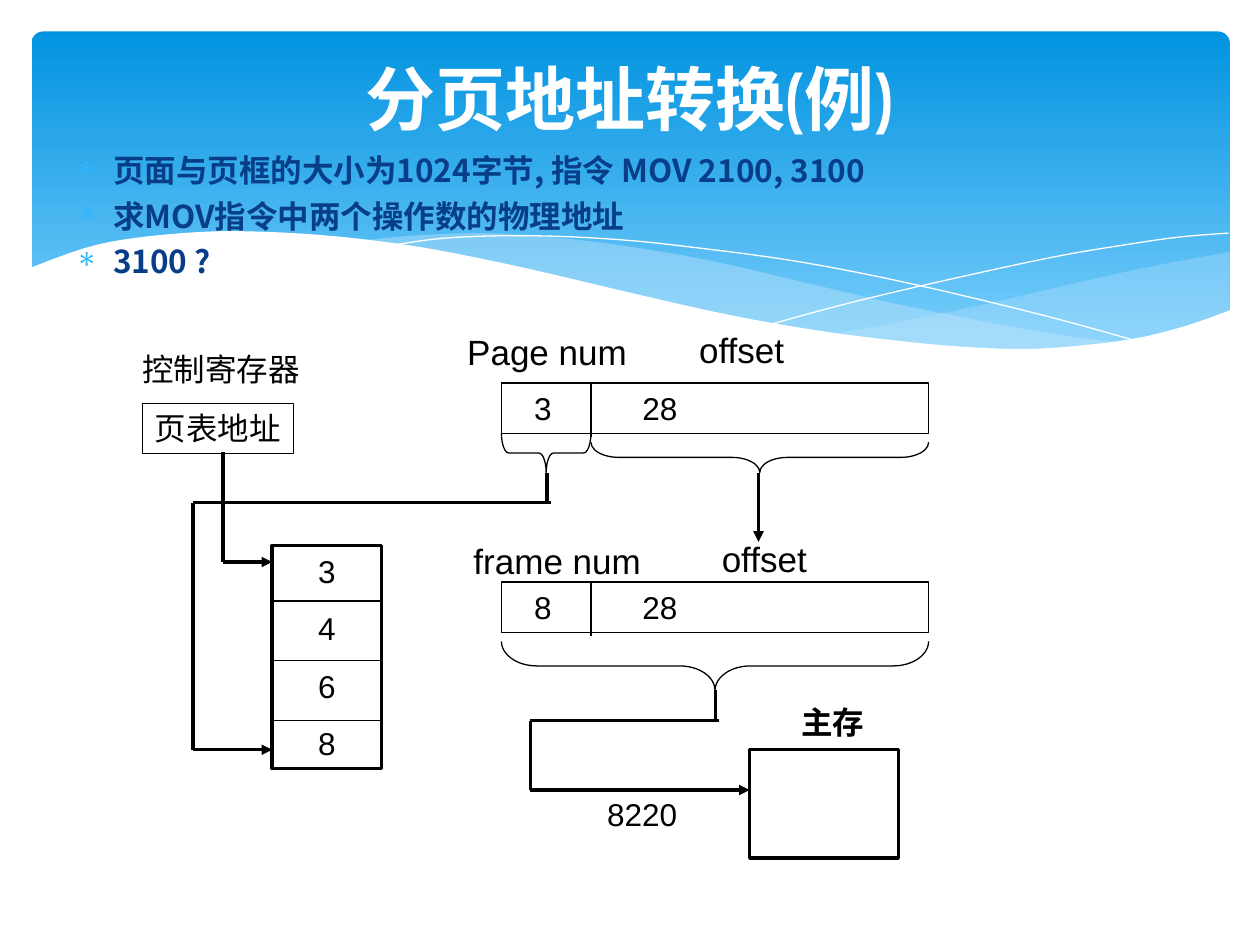
from dataclasses import dataclass
from itertools import pairwise
from typing import Optional

from lxml.etree import SubElement
from pptx import Presentation
from pptx.dml.color import RGBColor
from pptx.enum.shapes import MSO_CONNECTOR as Connector, MSO_SHAPE as Preset
from pptx.enum.text import MSO_ANCHOR as Anchor, MSO_AUTO_SIZE as AutoSize, PP_ALIGN as Align
from pptx.oxml.ns import qn
from pptx.util import Inches, Pt

WHITE = RGBColor(0xFF, 0xFF, 0xFF)
BLACK = RGBColor(0, 0, 0)
NAVY = RGBColor(0x07, 0x3E, 0x87)
SKY_TOP = RGBColor(0x02, 0x93, 0xE0)
SKY_BOTTOM = RGBColor(0x83, 0xD3, 0xFE)
PALE = RGBColor(0xC6, 0xE7, 0xFC)
BULLET = RGBColor(0x31, 0xB6, 0xFD)
CJK_FONT = "Noto Sans CJK JP"
THIN, THICK = 0.75, 2

Point = tuple[float, float]


@dataclass
class Wave:
    knots: list[Point]
    edge: list[Point]
    fill: Optional[RGBColor] = None
    opacity: int = 100


@dataclass
class Frame:
    left: float
    top: float
    width: float
    height: float
    weight: float = THIN
    preset: Preset = Preset.RECTANGLE


@dataclass
class Brace:
    left: float
    right: float
    top: float
    depth: float
    curl: float


@dataclass
class Route:
    points: list[Point]
    weight: float = THICK
    arrow: bool = False


@dataclass
class Label:
    text: str
    left: float
    top: float
    width: float
    size: int = 18
    bold: bool = False


WAVES = [
    Wave([(9.76, 2), (9.21, 2.1), (8.61, 2.23), (7.79, 2.42), (7.06, 2.57), (6.61, 2.65)],
         [(6.61, 2.65), (7.05, 2.71), (7.57, 2.76), (8.03, 2.78), (8.54, 2.76), (8.97, 2.7),
          (9.35, 2.62), (9.76, 2.47)], PALE, 29),
    Wave([(8.93, 2.73), (8.37, 2.65), (7.75, 2.54), (7.06, 2.4), (6.29, 2.22), (5.69, 2.08),
          (5.14, 1.98), (4.64, 1.91), (4.2, 1.87), (3.8, 1.85), (3.28, 1.87), (2.86, 1.91)],
         [(2.86, 1.91), (3.42, 1.99), (4.04, 2.11), (4.91, 2.32), (5.66, 2.48), (6.34, 2.61),
          (6.95, 2.7), (7.48, 2.76), (8.07, 2.79), (8.57, 2.77), (8.93, 2.73)], PALE, 40),
    Wave([(3.09, 1.95), (3.53, 1.89), (4.16, 1.87), (4.89, 1.9), (5.56, 1.97), (6.36, 2.08),
          (7.27, 2.26), (8.31, 2.51), (9.07, 2.72)], []),
    Wave([(6.13, 2.57), (6.72, 2.41), (7.48, 2.23), (8.36, 2.04), (8.95, 1.94), (9.37, 1.88),
          (9.75, 1.85)], []),
    Wave([(9.77, 2.46), (9.4, 2.59), (8.99, 2.69), (8.5, 2.75), (8.09, 2.77), (7.61, 2.75),
          (7.08, 2.7), (6.47, 2.62), (5.79, 2.5), (5.03, 2.33), (4.18, 2.13), (3.39, 1.97),
          (2.71, 1.88), (2.11, 1.84), (1.61, 1.84), (1.06, 1.89), (0.67, 1.97), (0.23, 2.13)],
         [(0.23, 3.29), (9.77, 3.29)], WHITE),
]

ADDRESS_LEFT, ADDRESS_SPLIT, ADDRESS_RIGHT = 3.98, 4.69, 7.37
ADDRESS_TOPS = (3.04, 4.62)
ADDRESS_WIDTH = ADDRESS_RIGHT - ADDRESS_LEFT
PAGE_TABLE = Frame(2.16, 4.33, 0.87, 1.77, THICK)
REGISTER = Frame(1.13, 3.2, 1.2, 0.4)
MEMORY = Frame(5.95, 5.95, 1.18, 0.86, THICK)

BRACES = [
    Brace(ADDRESS_LEFT, ADDRESS_SPLIT, 3.44, 0.31, 0.19),
    Brace(ADDRESS_SPLIT, ADDRESS_RIGHT, 3.51, 0.24, 0.92),
    Brace(ADDRESS_LEFT, ADDRESS_RIGHT, 5.09, 0.39, 0.72),
]

ROUTES = [
    *(Route([(2.16, y), (3.03, y)], THIN) for y in (4.77, 5.24, 5.72)),
    *(Route([(ADDRESS_SPLIT, y), (ADDRESS_SPLIT, y + 0.43)], THIN) for y in ADDRESS_TOPS),
    Route([(5.68, 5.48), (5.68, 5.72)]),
    Route([(5.71, 5.72), (4.21, 5.72), (4.21, 6.27), (5.95, 6.27)], arrow=True),
    Route([(4.34, 3.75), (4.34, 3.99)]),
    Route([(4.37, 3.99), (1.53, 3.99), (1.53, 5.95), (2.16, 5.95)], arrow=True),
    Route([(1.77, 3.59), (1.77, 4.46), (2.16, 4.46)], arrow=True),
    Route([(6.02, 3.75), (6.02, 4.3)], arrow=True),
]

LABELS = [
    Label("控制寄存器", 1.03, 2.73, 1.45),
    Label("主存", 6.26, 5.53, 0.7, bold=True),
    Label("8220", 4.72, 6.26, 0.8),
    Label("Page num", 3.61, 2.57, 1.47, 20),
    Label("offset", 5.45, 2.56, 0.88, 20),
    Label("frame num", 3.66, 4.23, 1.53, 20),
    Label("offset", 5.63, 4.22, 0.88, 20),
    *(Label(number, 4.14, y, 0.34) for number, y in zip("38", ADDRESS_TOPS)),
    *(Label("28", 5, y, 0.48) for y in ADDRESS_TOPS),
]


def smooth(knots: list[Point], steps: int = 4) -> list[Point]:
    padded = [knots[0], *knots, knots[-1]]
    curve = []
    for a, b, c, d in zip(padded, padded[1:], padded[2:], padded[3:]):
        for t in (step / steps for step in range(steps)):
            curve.append(tuple(
                b[i] + t * (c[i] - a[i]) / 2
                + t**2 * (2 * a[i] - 5 * b[i] + 4 * c[i] - d[i]) / 2
                + t**3 * (3 * b[i] - a[i] - 3 * c[i] + d[i]) / 2 for i in (0, 1)))
    return [*curve, knots[-1]]


def draw_wave(page, wave: Wave) -> None:
    edge = smooth(wave.edge) if len(wave.edge) > 2 else wave.edge
    points = [(Inches(x), Inches(y)) for x, y in smooth(wave.knots) + edge]
    builder = page.shapes.build_freeform(*points[0], scale=1.0)
    builder.add_line_segments(points[1:], close=wave.fill is not None)
    shape = builder.convert_to_shape()
    shape.shadow.inherit = False
    if wave.fill is None:
        shape.fill.background()
        shape.line.color.rgb = WHITE
        shape.line.width = Pt(0)
        return
    shape.fill.solid()
    shape.fill.fore_color.rgb = wave.fill
    shape.line.fill.background()
    if wave.opacity < 100:
        color = shape.element.spPr.find(f"{qn('a:solidFill')}/{qn('a:srgbClr')}")
        SubElement(color, qn("a:alpha"), val=str(wave.opacity * 1000))


def draw_frame(page, frame: Frame):
    shape = page.shapes.add_shape(frame.preset, Inches(frame.left), Inches(frame.top),
                                  Inches(frame.width), Inches(frame.height))
    shape.shadow.inherit = False
    shape.fill.background()
    shape.line.color.rgb = BLACK
    shape.line.width = Pt(frame.weight)
    return shape


def draw_brace(page, brace: Brace) -> None:
    length = brace.right - brace.left
    left = (brace.left + brace.right - brace.depth) / 2
    top = brace.top + (brace.depth - length) / 2
    shape = draw_frame(page, Frame(left, top, brace.depth, length, preset=Preset.LEFT_BRACE))
    shape.rotation = 270
    shape.adjustments[0] = brace.curl


def draw_route(page, route: Route) -> None:
    for start, end in pairwise(route.points):
        line = page.shapes.add_connector(Connector.STRAIGHT, *map(Inches, start + end))
        line.line.color.rgb = BLACK
        line.line.width = Pt(route.weight)
        properties = line.element.spPr
        if route.arrow and end == route.points[-1]:
            SubElement(properties.find(qn("a:ln")), qn("a:tailEnd"), type="triangle")
        SubElement(properties, qn("a:effectLst"))


def write(box, text: str, size: int, font: str = "Arial", color: RGBColor = BLACK,
          bold: bool = False, align: Align = Align.LEFT, wrap: bool = False) -> None:
    frame = box.text_frame
    frame.text = text
    frame.word_wrap = wrap
    for para in frame.paragraphs:
        para.alignment = align
        for span in para.runs:
            span.font.size = Pt(size)
            span.font.bold = bold
            span.font.color.rgb = color
            span.font.name = font
            SubElement(span.font._element, qn("a:ea"), typeface=CJK_FONT)


def add_box(page, left: float, top: float, width: float, height: float):
    return page.shapes.add_textbox(Inches(left), Inches(top), Inches(width), Inches(height))


def draw_label(page, label: Label) -> None:
    box = add_box(page, label.left, label.top, label.width, label.size / 50 + 0.04)
    write(box, label.text, label.size, bold=label.bold)
    box.text_frame.auto_size = AutoSize.SHAPE_TO_FIT_TEXT


def draw_banner(page) -> None:
    banner = draw_frame(page, Frame(0.25, 0.25, 9.51, 2.7, preset=Preset.ROUNDED_RECTANGLE))
    banner.adjustments[0] = 0.034
    banner.line.fill.background()
    banner.fill.gradient()
    banner.fill.gradient_angle = 270
    for stop, color in zip(banner.fill.gradient_stops, (SKY_TOP, SKY_BOTTOM)):
        stop.color.rgb = color


def draw_question(page) -> None:
    box = add_box(page, 0.5, 1.15, 9, 5.55)
    write(box, "页面与页框的大小为1024字节, 指令 MOV 2100, 3100\n"
               "求MOV指令中两个操作数的物理地址\n3100 ?", 18, CJK_FONT, NAVY, True, wrap=True)
    for index, para in enumerate(box.text_frame.paragraphs):
        para.space_before = Pt(4.5 if index else 0)
        properties = para._p.get_or_add_pPr()
        properties.set("marL", str(Inches(0.3)))
        properties.set("indent", str(Inches(-0.3)))
        SubElement(SubElement(properties, qn("a:buClr")), qn("a:srgbClr"), val=str(BULLET))
        SubElement(properties, qn("a:buChar"), char="∗")


def main() -> None:
    deck = Presentation()
    deck.slide_width, deck.slide_height = Inches(10), Inches(7.5)
    page = deck.slides.add_slide(deck.slide_layouts[6])
    draw_banner(page)
    for wave in WAVES:
        draw_wave(page, wave)
    draw_question(page)
    table = draw_frame(page, PAGE_TABLE)
    write(table, "3\n4\n6\n8", 18, align=Align.CENTER, wrap=True)
    for para in table.text_frame.paragraphs[1:]:
        para.space_before = Pt(11.2)
    write(draw_frame(page, REGISTER), "页表地址", 18)
    draw_frame(page, MEMORY)
    for top in ADDRESS_TOPS:
        draw_frame(page, Frame(ADDRESS_LEFT, top, ADDRESS_WIDTH, 0.4))
    for brace in BRACES:
        draw_brace(page, brace)
    for route in ROUTES:
        draw_route(page, route)
    for label in LABELS:
        draw_label(page, label)
    title = add_box(page, 0.75, 0.44, 8.5, 0.67)
    write(title, "分页地址转换(例)", 40, "Cabin", WHITE, True, Align.CENTER, wrap=True)
    title.text_frame.vertical_anchor = Anchor.MIDDLE
    deck.save("out.pptx")


if __name__ == "__main__":
    main()
